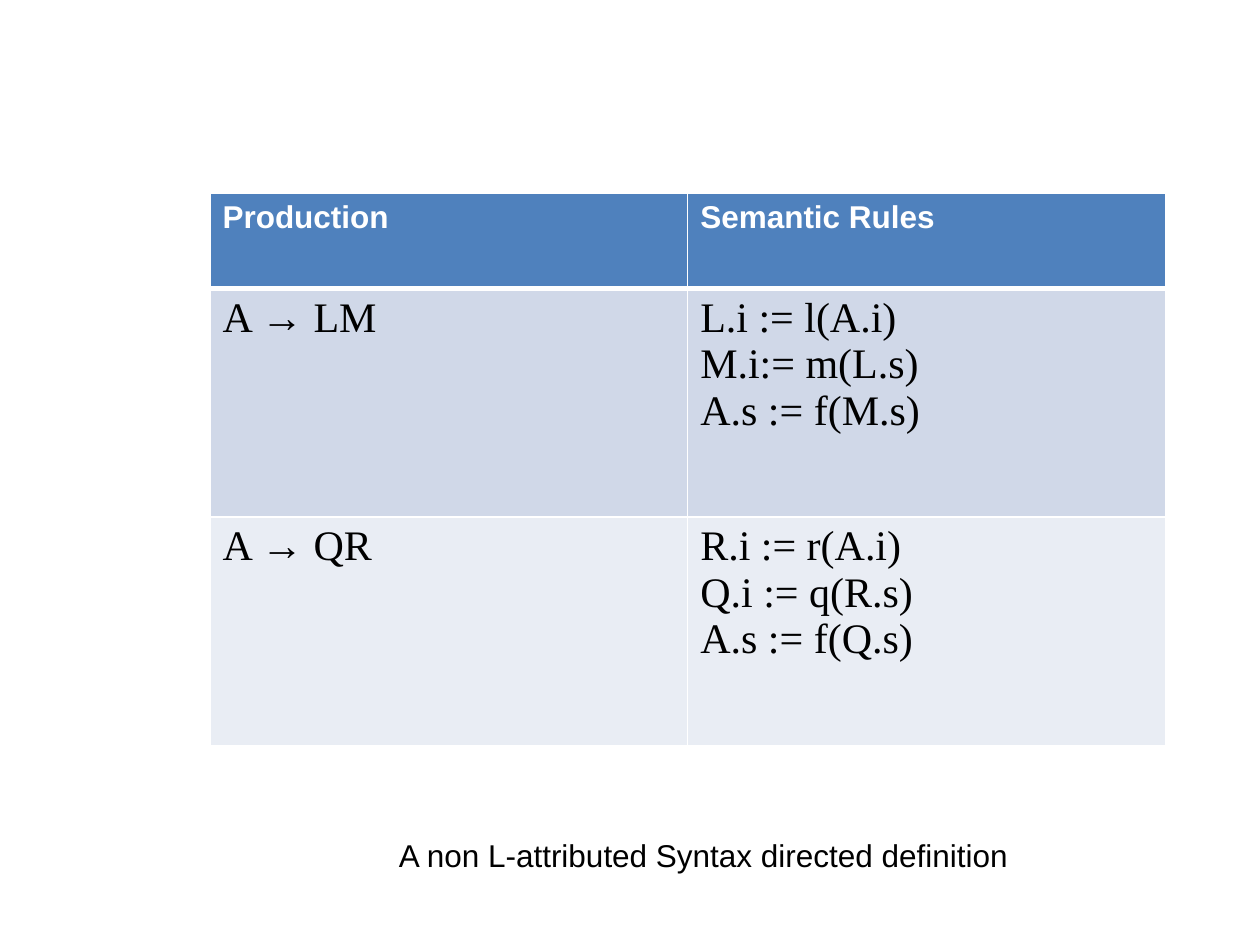
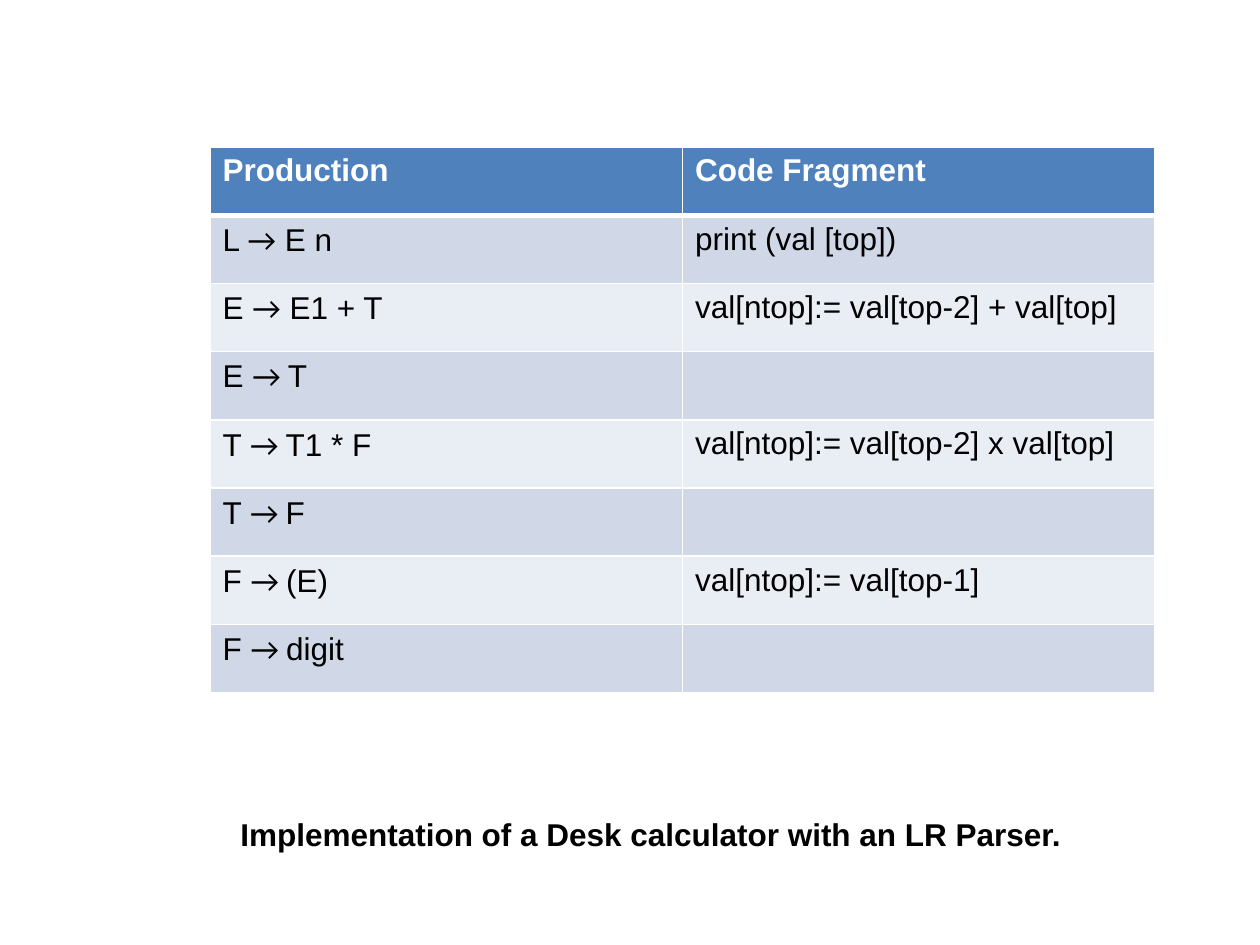
from pptx import Presentation
from pptx.dml.color import RGBColor as RGB
from pptx.enum.text import PP_ALIGN as Align
from pptx.oxml import parse_xml
from pptx.oxml.ns import nsdecls
from pptx.util import Inches, Pt

WHITE = RGB(0xFF, 0xFF, 0xFF)
BLACK = RGB(0x00, 0x00, 0x00)
HEADER_BLUE = RGB(0x4F, 0x81, 0xBD)
BANDS = (RGB(0xD0, 0xD8, 0xE8), RGB(0xE9, 0xED, 0xF4))

SANS, SERIF, ARROW_FONT = "Arial", "Times New Roman", "Calibri"
COLUMNS, ROWS = 120, 90
TABLE_LEFT = 20

# A cell is a list of paragraphs; a paragraph is a list of runs.
# In a production the second run is the arrow.
ATTRIBUTE_RULES = [
    ([["A → LM"]],
     [["L.i := l(A.i)"], ["M.i:= m(L.s)"], ["A.s := f(M.s)"]]),
    ([["A → QR"]],
     [["R.i := r(A.i)"], ["Q.i := q(R.s)"], ["A.s := f(Q.s)"]]),
]
CALCULATOR_RULES = [
    ([["L ", "→", " E n"]], [["print (val [top])"]]),
    ([["E ", "→", " E1 + T"]], [["val[ntop]:= val[top-2] + val[top]"]]),
    ([["E ", "→ ", "T"]], []),
    ([["T ", "→ ", "T1 * F"]], [["val[ntop]:= val[top-2] x val[top]"]]),
    ([["T ", "→ ", "F"]], []),
    ([["F ", "→ ", "(E)"]], [["val[ntop]:= val[top-1]"]]),
    ([["F ", "→ ", "digit"]], []),
]


class Deck:
    """Holds the shared style and the current slide; lengths are grid units."""

    def __init__(self):
        self.prs = Presentation()
        self.prs.slide_width, self.prs.slide_height = Inches(10), Inches(7.5)
        self.s = None

    def x(self, columns):
        return round(self.prs.slide_width * columns / COLUMNS)

    def y(self, rows):
        return round(self.prs.slide_height * rows / ROWS)

    def new_slide(self):
        self.s = self.prs.slides.add_slide(self.prs.slide_layouts[6])

    def add_text(self, tf, paragraphs, size=18, font=SANS, color=BLACK,
                 bold=False):
        for i, runs in enumerate(paragraphs):
            p = tf.paragraphs[0] if i == 0 else tf.add_paragraph()
            for j, text in enumerate(runs):
                r = p.add_run()
                r.text = text
                r.font.name = ARROW_FONT if j == 1 else font
                r.font.size, r.font.bold = Pt(size), bold
                r.font.color.rgb = color

    def paint_cell(self, cell, color, bottom=1):
        cell.fill.solid()
        cell.fill.fore_color.rgb = color
        widths = {"lnL": 1, "lnR": 1, "lnT": 1, "lnB": bottom}
        for i, (side, width) in enumerate(widths.items()):
            line = parse_xml(
                f'<a:{side} {nsdecls("a")} w="{Pt(width)}"><a:solidFill>'
                f'<a:srgbClr val="{WHITE}"/></a:solidFill></a:{side}>')
            cell._tc.get_or_add_tcPr().insert(i, line)

    def table(self, top, width, heights, headings, rules, **body_style):
        tbl = self.s.shapes.add_table(
            len(heights), len(headings), self.x(TABLE_LEFT), self.y(top),
            self.x(width), self.y(sum(heights))).table
        for row, height in zip(tbl.rows, heights):
            row.height = self.y(height)
        for cell, heading in zip(tbl.rows[0].cells, headings):
            self.paint_cell(cell, HEADER_BLUE, bottom=3)
            self.add_text(cell.text_frame, [[heading]], color=WHITE, bold=True)
        for i, rule in enumerate(rules):
            for cell, paragraphs in zip(tbl.rows[i + 1].cells, rule):
                self.paint_cell(cell, BANDS[i % 2])
                self.add_text(cell.text_frame, paragraphs, **body_style)

    def caption(self, left, top, width, text, bold=False):
        sp = self.s.shapes.add_textbox(
            self.x(left), self.y(top), self.x(width), self.y(4.8))
        tf = sp.text_frame
        tf.word_wrap = True
        self.add_text(tf, [[text]], bold=bold)
        tf.paragraphs[0].alignment = Align.CENTER


def main():
    deck = Deck()

    deck.new_slide()
    deck.table(18.4, 91, [9.1, 21.75, 21.75], ("Production", "Semantic Rules"),
               ATTRIBUTE_RULES, size=24, font=SERIF)
    deck.caption(23, 79, 88, "A non L-attributed Syntax directed definition")

    deck.new_slide()
    deck.table(14, 90, [6.5] * 8, ("Production", "Code Fragment"),
               CALCULATOR_RULES)
    deck.caption(8, 77, 108,
                 "Implementation of a Desk calculator with an LR Parser.",
                 bold=True)

    deck.prs.save("out.pptx")


if __name__ == "__main__":
    main()
